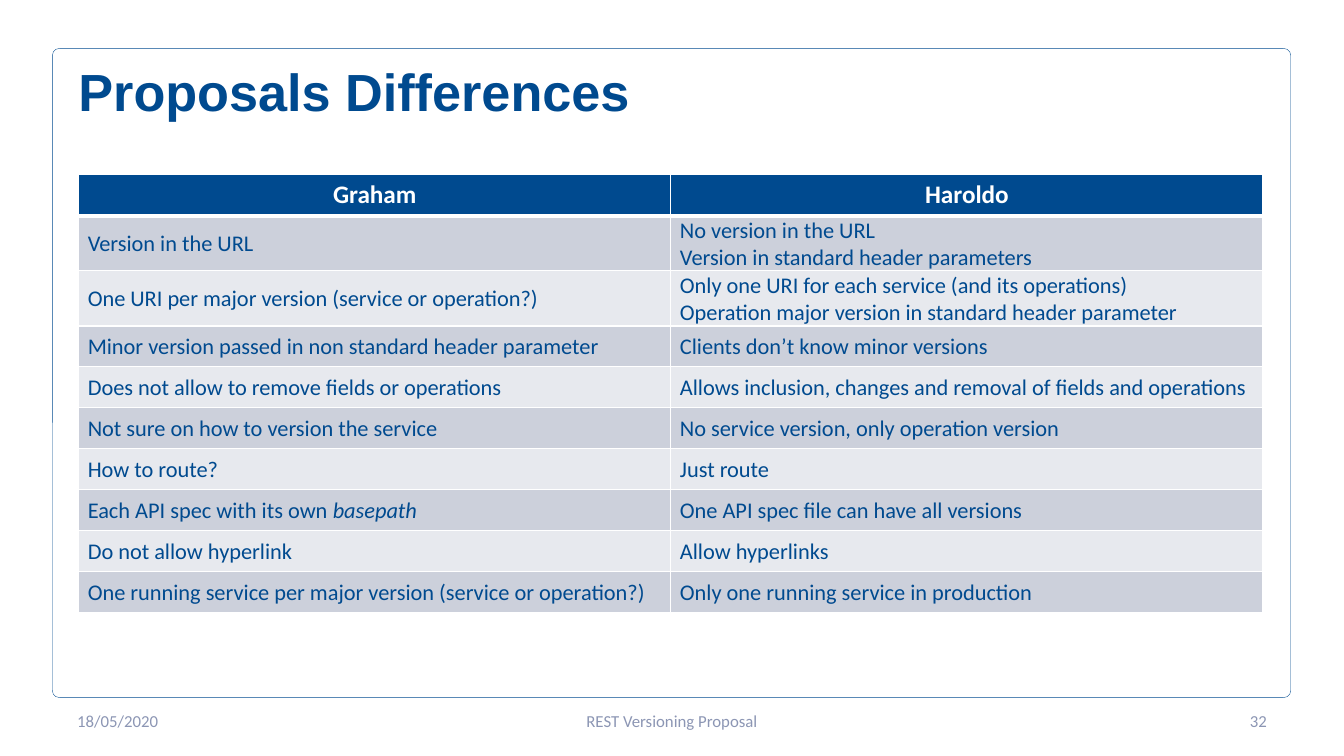
from lxml import etree
from pptx import Presentation
from pptx.dml.color import RGBColor
from pptx.enum.shapes import MSO_SHAPE as Shape
from pptx.enum.text import MSO_ANCHOR as Anchor, PP_ALIGN as Align
from pptx.oxml.ns import qn
from pptx.util import Pt

NAVY, WHITE, GREY = "004A8F", "FFFFFF", "8C96B4"
BANDS = ["CCD0DB", "E7E9EE"]


def color(value):
    return RGBColor.from_string(value)


def add_run(paragraph, text, rgb, **font_values):
    run = paragraph.add_run()
    run.text = text
    run.font.color.rgb = color(rgb)
    for name, value in font_values.items():
        setattr(run.font, name, value)


presentation = Presentation()
presentation.slide_width, presentation.slide_height = Pt(960), Pt(540)
slide = presentation.slides.add_slide(presentation.slide_layouts[6])

frame = slide.shapes.add_shape(Shape.ROUNDED_RECTANGLE, Pt(37.4), Pt(34.6), Pt(884.6), Pt(463.7))
frame.adjustments[0] = 0.011
frame.shadow.inherit = False
frame.fill.background()
frame.line.color.rgb = color(NAVY)
frame.line.width = Pt(0.25)

title = slide.shapes.add_textbox(Pt(56), Pt(51), Pt(846), Pt(49)).text_frame
title_format = {"word_wrap": True, "margin_left": 0, "margin_top": 0, "margin_bottom": 0}
for name, value in title_format.items():
    setattr(title, name, value)
title.paragraphs[0].line_spacing = 0.8
add_run(title.paragraphs[0], "Proposals Differences", NAVY, name="Arial", size=Pt(37.3), bold=True)

footers = [
    (48, 224, Align.LEFT, "18/05/2020"),
    (328, 304, Align.CENTER, "REST Versioning Proposal"),
    (688, 224, Align.RIGHT, "32"),
]
for left, width, alignment, text in footers:
    footer = slide.shapes.add_textbox(Pt(left), Pt(500.5), Pt(width), Pt(28.75)).text_frame
    footer.word_wrap = True
    footer.vertical_anchor = Anchor.MIDDLE
    footer.paragraphs[0].alignment = alignment
    add_run(footer.paragraphs[0], text, GREY, name="Calibri", size=Pt(12))

headers = ["Graham", "Haroldo"]
differences = [
    ("Version in the URL",
     "No version in the URL\nVersion in standard header parameters"),
    ("One URI per major version (service or operation?)",
     "Only one URI for each service (and its operations)\n"
     "Operation major version in standard header parameter"),
    ("Minor version passed in non standard header parameter",
     "Clients don’t know minor versions"),
    ("Does not allow to remove fields or operations",
     "Allows inclusion, changes and removal of fields and operations"),
    ("Not sure on how to version the service",
     "No service version, only operation version"),
    ("How to route?", "Just route"),
    ("Each API spec with its own *basepath", "One API spec file can have all versions"),
    ("Do not allow hyperlink", "Allow hyperlinks"),
    ("One running service per major version (service or operation?)",
     "Only one running service in production"),
]
row_count = len(differences) + 1
table = slide.shapes.add_table(
    row_count, 2, Pt(56.2), Pt(124.8), Pt(846), Pt(29.25 * row_count)).table

for cell, text in zip(table.rows[0].cells, headers):
    cell.fill.solid()
    cell.fill.fore_color.rgb = color(NAVY)
    border = etree.Element(qn("a:lnB"), w=str(Pt(3)))
    border_fill = etree.SubElement(border, qn("a:solidFill"))
    etree.SubElement(border_fill, qn("a:srgbClr"), val=WHITE)
    cell._tc.get_or_add_tcPr().insert(0, border)
    paragraph = cell.text_frame.paragraphs[0]
    paragraph.alignment = Align.CENTER
    add_run(paragraph, text, WHITE, name="Calibri", size=Pt(18), bold=True)

cell_format = {
    "vertical_anchor": Anchor.MIDDLE,
    "margin_left": Pt(6.5),
    "margin_top": Pt(1),
    "margin_right": Pt(0.7),
    "margin_bottom": 0,
}
for index, texts in enumerate(differences):
    for cell, text in zip(table.rows[index + 1].cells, texts):
        cell.fill.solid()
        cell.fill.fore_color.rgb = color(BANDS[index % 2])
        for name, value in cell_format.items():
            setattr(cell, name, value)
        for number, line in enumerate(text.split("\n")):
            text_frame = cell.text_frame
            paragraph = text_frame.add_paragraph() if number else text_frame.paragraphs[0]
            for part, words in enumerate(line.split("*")):
                add_run(paragraph, words, NAVY, name="Calibri", size=Pt(16),
                        bold=False, italic=part == 1)

presentation.save("out.pptx")
